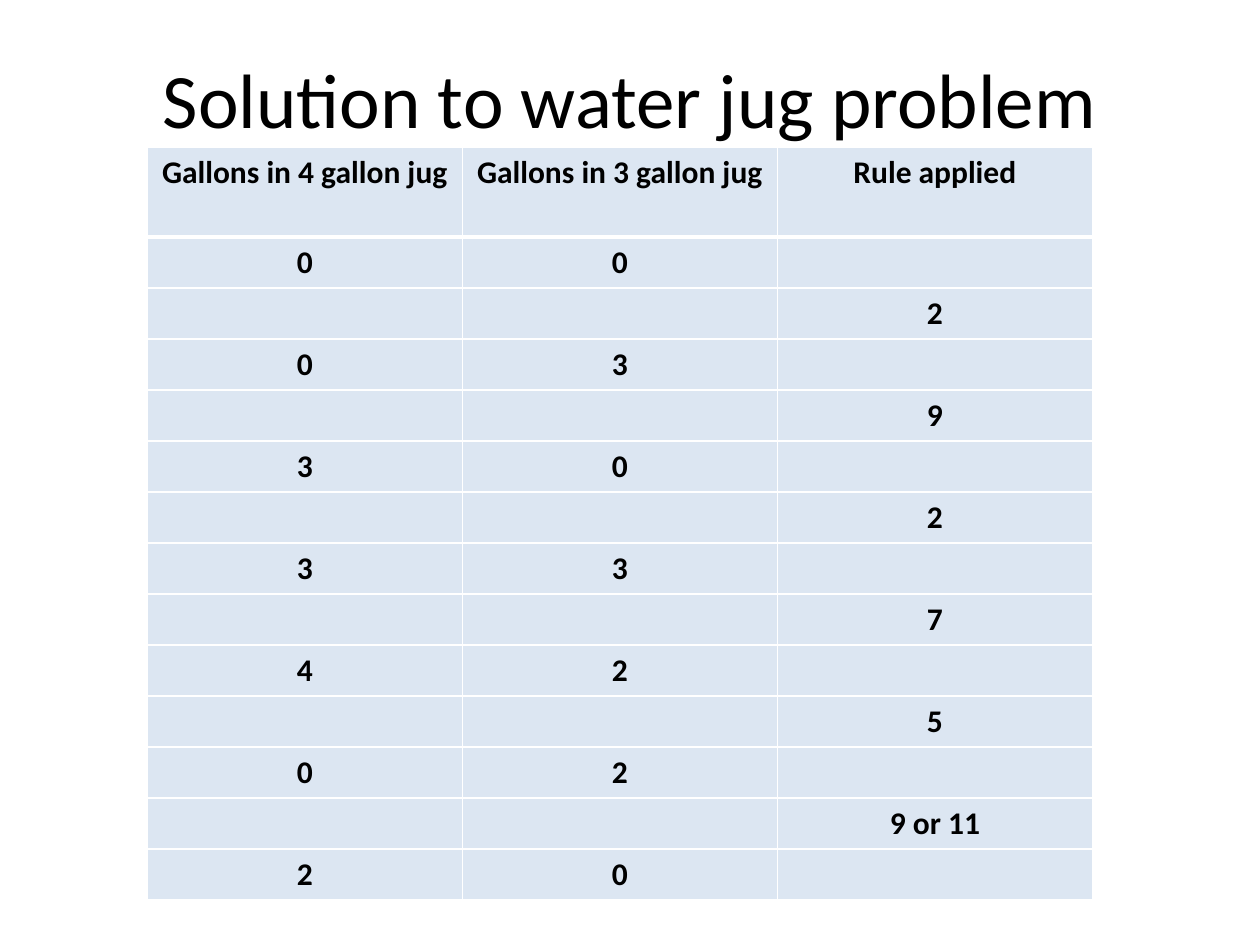
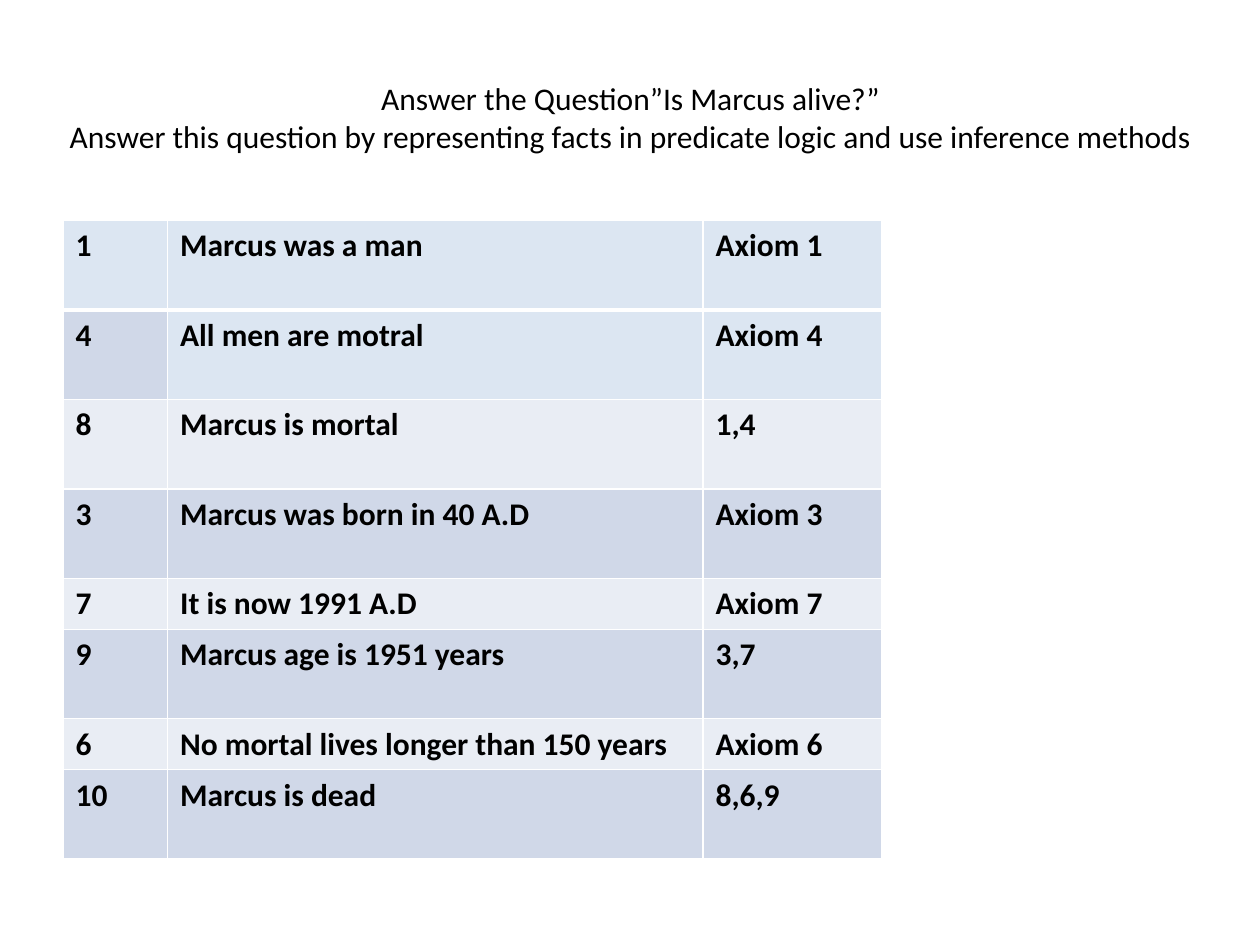
import pptx
import pptx.util
import pptx.dml.color
import pptx.enum.text
import pptx.oxml
import pptx.oxml.ns

Inches, Pt = pptx.util.Inches, pptx.util.Pt
RGB = pptx.dml.color.RGBColor.from_string
ALIGN = pptx.enum.text.PP_ALIGN
MIDDLE = pptx.enum.text.MSO_ANCHOR.MIDDLE

COLORS = {"text": "000000", "border": "FFFFFF", "pale": "DCE6F2",
          "band_dark": "D0D8E8", "band_light": "E9EDF4"}
FONT = "Calibri"
TALL_ROW, SHORT_ROW = 0.71, 0.405


def add_title(s, text, size, left, width, height):
    tb = s.shapes.add_textbox(Inches(left), Inches(0.3), Inches(width), Inches(height))
    tf = tb.text_frame
    tf.word_wrap = True
    tf.vertical_anchor = MIDDLE
    tf.text = text
    for p in tf.paragraphs:
        p.alignment = ALIGN.CENTER
        p.font.size = Pt(size)
        for r in p.runs:
            r.font.name, r.font.size = FONT, Pt(size)
            r.font.color.rgb = RGB(COLORS["text"])


def add_grid(s, left, top, widths, heights, rows, fills, align):
    """Add a table of bold text with white rules, thicker below the first row."""
    frame = s.shapes.add_table(len(rows), len(widths), Inches(left), Inches(top),
                               Inches(sum(widths)), Inches(sum(heights)))
    table = frame.table
    for column, width in zip(table.columns, widths):
        column.width = Inches(width)
    for i, (row, values) in enumerate(zip(table.rows, rows)):
        row.height = Inches(heights[i])
        for j, value in enumerate(values):
            cell = row.cells[j]
            tcPr = cell._tc.get_or_add_tcPr()
            for side in "LRTB":
                points = 3 if (i, side) in ((0, "B"), (1, "T")) else 1
                tcPr.append(pptx.oxml.parse_xml(
                    f'<a:ln{side} {pptx.oxml.ns.nsdecls("a")} w="{Pt(points)}"><a:solidFill>'
                    f'<a:srgbClr val="{COLORS["border"]}"/></a:solidFill></a:ln{side}>'))
            cell.fill.solid()
            cell.fill.fore_color.rgb = RGB(COLORS[fills[i][j]])
            cell.text = value
            p = cell.text_frame.paragraphs[0]
            p.alignment = align
            p.font.size = Pt(18)
            for r in p.runs:
                r.font.name, r.font.size, r.font.bold = FONT, Pt(18), True
                r.font.color.rgb = RGB(COLORS["text"])


prs = pptx.Presentation()
prs.slide_width, prs.slide_height = Inches(10), Inches(7.5)
blank = prs.slide_layouts[6]

# Water jug: states alternate with the rules that link them
s = prs.slides.add_slide(blank)
add_title(s, "Solution to water jug problem", 44, 0.5, 9, 0.95)
states = ["00", "03", "30", "33", "42", "02", "20"]
rules = ["2", "9", "2", "7", "5", "9 or 11"]
jug_rows = [("Gallons in 4 gallon jug", "Gallons in 3 gallon jug", "Rule applied")]
for i, (four, three) in enumerate(states):
    jug_rows.append((four, three, ""))
    if i < len(rules):
        jug_rows.append(("", "", rules[i]))
add_grid(s, 1.17, 1.17, [2.5] * 3, [TALL_ROW] + [SHORT_ROW] * (len(jug_rows) - 1),
         jug_rows, [["pale"] * 3] * len(jug_rows), ALIGN.CENTER)

# Marcus: numbered statements with their justification
s = prs.slides.add_slide(blank)
add_title(s, "Answer the Question”Is Marcus alive?”\vAnswer this question by representing "
          "facts in predicate logic and use inference methods", 18, 0.17, 9.67, 1.25)
proof_rows = [
    ("1", "Marcus was a man", "Axiom 1"),
    ("4", "All men are motral", "Axiom 4"),
    ("8", "Marcus is mortal", "1,4"),
    ("3", "Marcus was born in 40 A.D", "Axiom 3"),
    ("7", "It is now 1991 A.D", "Axiom 7"),
    ("9", "Marcus age is 1951 years", "3,7"),
    ("6", "No mortal lives longer than 150 years", "Axiom 6"),
    ("10", "Marcus is dead", "8,6,9"),
]
proof_fills = [["band_dark" if i % 2 else "band_light"] * 3 for i in range(len(proof_rows))]
proof_fills[0] = ["pale"] * 3
proof_fills[1][1:] = ["pale"] * 2
proof_heights = [SHORT_ROW if number in ("7", "6") else TALL_ROW for number, *_ in proof_rows]
add_grid(s, 0.5, 1.75, [0.83, 4.25, 1.42], proof_heights, proof_rows, proof_fills, ALIGN.LEFT)

prs.save("out.pptx")
